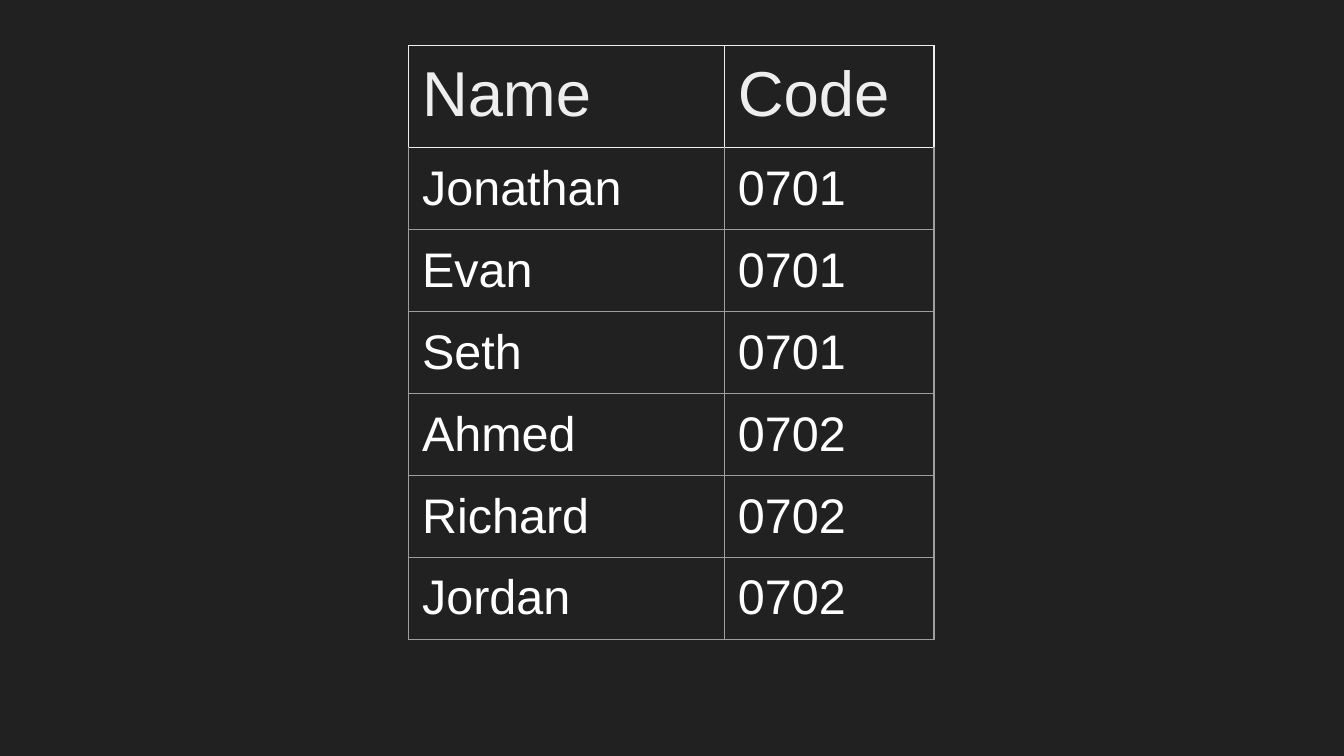
"""Build a dark slide with a table of names and codes."""
from dataclasses import dataclass

from lxml import etree
from pptx import Presentation
from pptx.dml.color import RGBColor
from pptx.oxml.ns import qn
from pptx.util import Inches, Pt


@dataclass(frozen=True)
class Theme:
    background: str = "212121"
    header: str = "EEEEEE"
    body: str = "FFFFFF"
    grid: str = "9E9E9E"
    font: str = "Arial"
    header_size: int = 34
    body_size: int = 26
    border: float = 0.75


THEME = Theme()
ROWS = [
    ("Name", "Code"),
    ("Jonathan", "0701"),
    ("Evan", "0701"),
    ("Seth", "0701"),
    ("Ahmed", "0702"),
    ("Richard", "0702"),
    ("Jordan", "0702"),
]
COL_WIDTHS = [2.35, 1.56]
HEADER_HEIGHT, BODY_HEIGHT = 0.76, 0.61
MARGINS = dict.fromkeys(
    ("margin_left", "margin_right", "margin_top", "margin_bottom"), Inches(0.1)
)


def set_borders(cell, colors):
    tc_pr = cell._tc.get_or_add_tcPr()
    for i, (side, color) in enumerate(colors.items()):
        ln = etree.Element(qn(f"a:ln{side}"), w=str(Pt(THEME.border)))
        fill = etree.SubElement(ln, qn("a:solidFill"))
        etree.SubElement(fill, qn("a:srgbClr"), val=color)
        tc_pr.insert(i, ln)


prs = Presentation()
prs.slide_width = Inches(10)
prs.slide_height = prs.slide_width * 9 // 16
s = prs.slides.add_slide(prs.slide_layouts[6])
s.background.fill.solid()
s.background.fill.fore_color.rgb = RGBColor.from_string(THEME.background)

heights = [HEADER_HEIGHT] + [BODY_HEIGHT] * (len(ROWS) - 1)
table = s.shapes.add_table(
    len(ROWS), len(COL_WIDTHS), Inches(3.04), Inches(0.34),
    Inches(sum(COL_WIDTHS)), Inches(sum(heights)),
).table
table.first_row = table.horz_banding = False
for column, width in zip(table.columns, COL_WIDTHS):
    column.width = Inches(width)

for i, (values, height) in enumerate(zip(ROWS, heights)):
    table.rows[i].height = Inches(height)
    is_header = i == 0
    size = THEME.header_size if is_header else THEME.body_size
    color = THEME.header if is_header else THEME.body
    line = THEME.header if is_header else THEME.grid
    top = THEME.header if i <= 1 else THEME.grid
    text_format = {"name": THEME.font, "size": Pt(size), "bold": False}
    for j, value in enumerate(values):
        cell = table.cell(i, j)
        for name, margin in MARGINS.items():
            setattr(cell, name, margin)
        cell.fill.background()
        set_borders(cell, {"L": line, "R": line, "T": top, "B": line})
        r = cell.text_frame.paragraphs[0].add_run()
        r.text = value
        for name, setting in text_format.items():
            setattr(r.font, name, setting)
        r.font.color.rgb = RGBColor.from_string(color)

prs.save("out.pptx")
